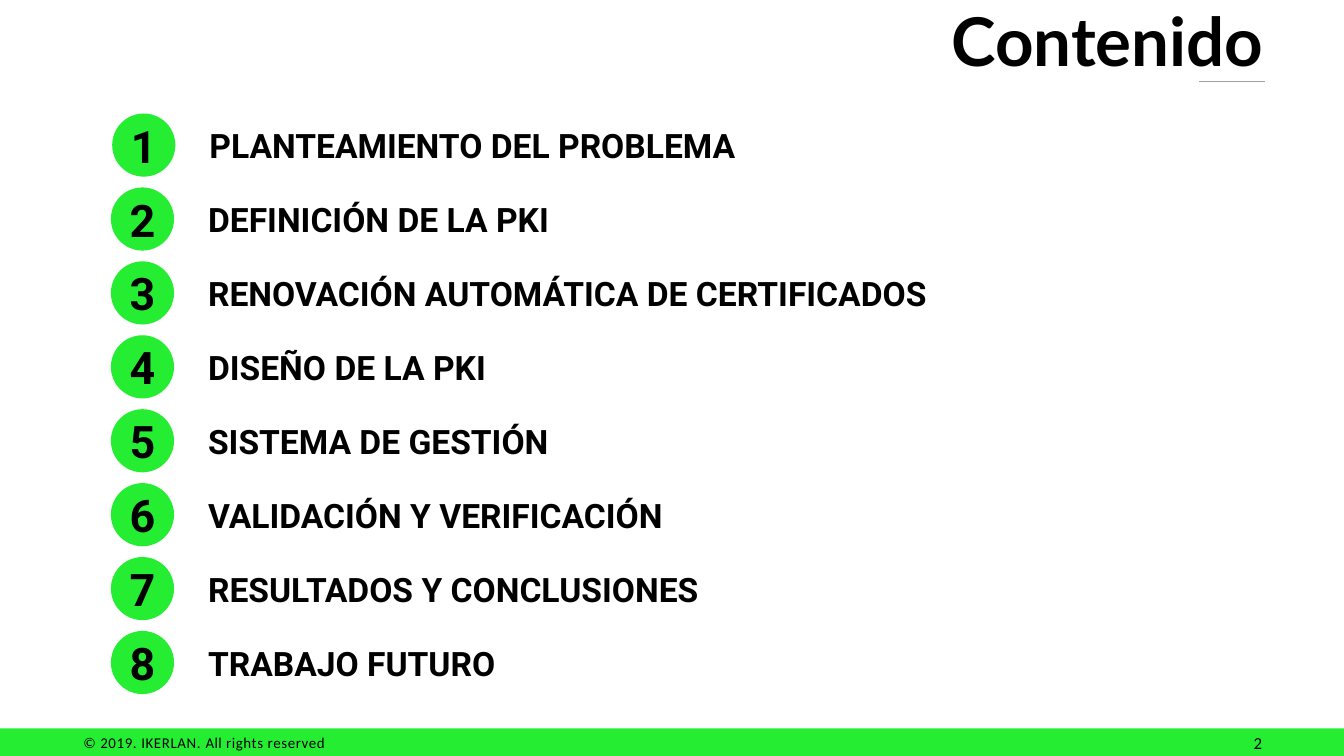
from dataclasses import dataclass

import pptx
import pptx.dml.color
import pptx.enum.shapes
import pptx.enum.text
import pptx.oxml.ns
import pptx.util
from lxml import etree

Inches = pptx.util.Inches
Pt = pptx.util.Pt
RGBColor = pptx.dml.color.RGBColor
Align = pptx.enum.text.PP_ALIGN
Anchor = pptx.enum.text.MSO_ANCHOR
Shape = pptx.enum.shapes.MSO_SHAPE

GREEN = RGBColor(0x25, 0xEE, 0x32)
GRAY = RGBColor(0xA0, 0xA0, 0xA0)
BLACK = RGBColor(0, 0, 0)

SLIDE_WIDTH = 10
SLIDE_HEIGHT = SLIDE_WIDTH * 9 / 16
FOOTER_TOP = 5.42
FIRST_TOP = 0.69
ROW_STEP = 0.55
BOX_SIZE = 0.78
CIRCLE_SIZE = 0.47
CIRCLE_INSET = (BOX_SIZE - CIRCLE_SIZE) / 2


@dataclass(frozen=True)
class Style:
    font: str
    size: float
    bold: bool = False


@dataclass(frozen=True)
class Topic:
    number: int
    title: str
    left: float = 0.67
    width: float = 4.72


TOPIC_STYLE = Style("Roboto", 18, True)
NUMBER_STYLE = Style("Roboto", 24, True)
TITLE_STYLE = Style("Lato", 36, True)
COPYRIGHT_STYLE = Style("Calibri", 8)
PAGE_NUMBER_STYLE = Style("Calibri", 9)

TOPICS = [
    Topic(1, "PLANTEAMIENTO DEL PROBLEMA", left=0.68),
    Topic(2, "DEFINICIÓN DE LA PKI"),
    Topic(3, "RENOVACIÓN AUTOMÁTICA DE CERTIFICADOS", width=6.39),
    Topic(4, "DISEÑO DE LA PKI"),
    Topic(5, "SISTEMA DE GESTIÓN"),
    Topic(6, "VALIDACIÓN Y VERIFICACIÓN"),
    Topic(7, "RESULTADOS Y CONCLUSIONES"),
    Topic(8, "TRABAJO FUTURO"),
]


def add_span(para, text: str, style: Style, spacing: float = 0) -> None:
    span = para.add_run()
    span.text = text
    span.font.name = style.font
    span.font.size = Pt(style.size)
    span.font.bold = style.bold
    span.font.color.rgb = BLACK
    if spacing:
        span.font._element.set("spc", str(round(spacing * 100)))


def add_frame(page, left: float, top: float, width: float, height: float,
              anchor=Anchor.TOP):
    box = page.shapes.add_textbox(
        Inches(left), Inches(top), Inches(width), Inches(height))
    frame = box.text_frame
    frame.word_wrap = True
    frame.vertical_anchor = anchor
    return frame


def add_label(page, left: float, top: float, width: float, height: float,
              text: str, style: Style, align=Align.LEFT, anchor=Anchor.MIDDLE) -> None:
    para = add_frame(page, left, top, width, height, anchor).paragraphs[0]
    para.alignment = align
    add_span(para, text, style)


def add_filled(page, kind, left: float, top: float, width: float, height: float) -> None:
    shape = page.shapes.add_shape(
        kind, Inches(left), Inches(top), Inches(width), Inches(height))
    shape.shadow.inherit = False
    shape.fill.solid()
    shape.fill.fore_color.rgb = GREEN
    shape.line.fill.background()


def add_title(page) -> None:
    add_label(page, 2.32, -0.02, 7.18, 0.63, "Contenido", TITLE_STYLE, Align.RIGHT)
    rule = page.shapes.add_connector(
        pptx.enum.shapes.MSO_CONNECTOR.STRAIGHT,
        Inches(8.92), Inches(0.61), Inches(9.41), Inches(0.61))
    rule.line.color.rgb = GRAY
    rule.line.width = Pt(0.5)
    etree.SubElement(rule._element.spPr, pptx.oxml.ns.qn("a:effectLst"))


def add_footer(page) -> None:
    add_filled(page, Shape.RECTANGLE, 0, FOOTER_TOP, SLIDE_WIDTH,
               SLIDE_HEIGHT - FOOTER_TOP)
    frame = add_frame(page, 0.61, 5.46, 2.85, 0.13)
    frame.margin_left = Inches(0.01)
    frame.margin_right = frame.margin_top = frame.margin_bottom = 0
    for text, spacing in (("© 2019. IKERLAN. ", 0.3), ("All ", 0.2),
                          ("rights reserved", 0.3)):
        add_span(frame.paragraphs[0], text, COPYRIGHT_STYLE, spacing)
    add_label(page, 7.16, 5.4, 2.33, 0.23, "2", PAGE_NUMBER_STYLE,
              Align.RIGHT, Anchor.TOP)


def add_topic(page, topic: Topic) -> None:
    top = FIRST_TOP + (topic.number - 1) * ROW_STEP
    add_filled(page, Shape.OVAL, topic.left + CIRCLE_INSET, top + CIRCLE_INSET,
               CIRCLE_SIZE, CIRCLE_SIZE)
    add_label(page, topic.left + BOX_SIZE, top, topic.width, BOX_SIZE,
              topic.title, TOPIC_STYLE)
    add_label(page, topic.left, top, BOX_SIZE, BOX_SIZE,
              str(topic.number), NUMBER_STYLE, Align.CENTER)


def main() -> None:
    deck = pptx.Presentation()
    deck.slide_width = Inches(SLIDE_WIDTH)
    deck.slide_height = Inches(SLIDE_HEIGHT)
    page = deck.slides.add_slide(deck.slide_layouts[6])
    add_footer(page)
    for topic in TOPICS:
        add_topic(page, topic)
    add_title(page)
    deck.save("out.pptx")


if __name__ == "__main__":
    main()
